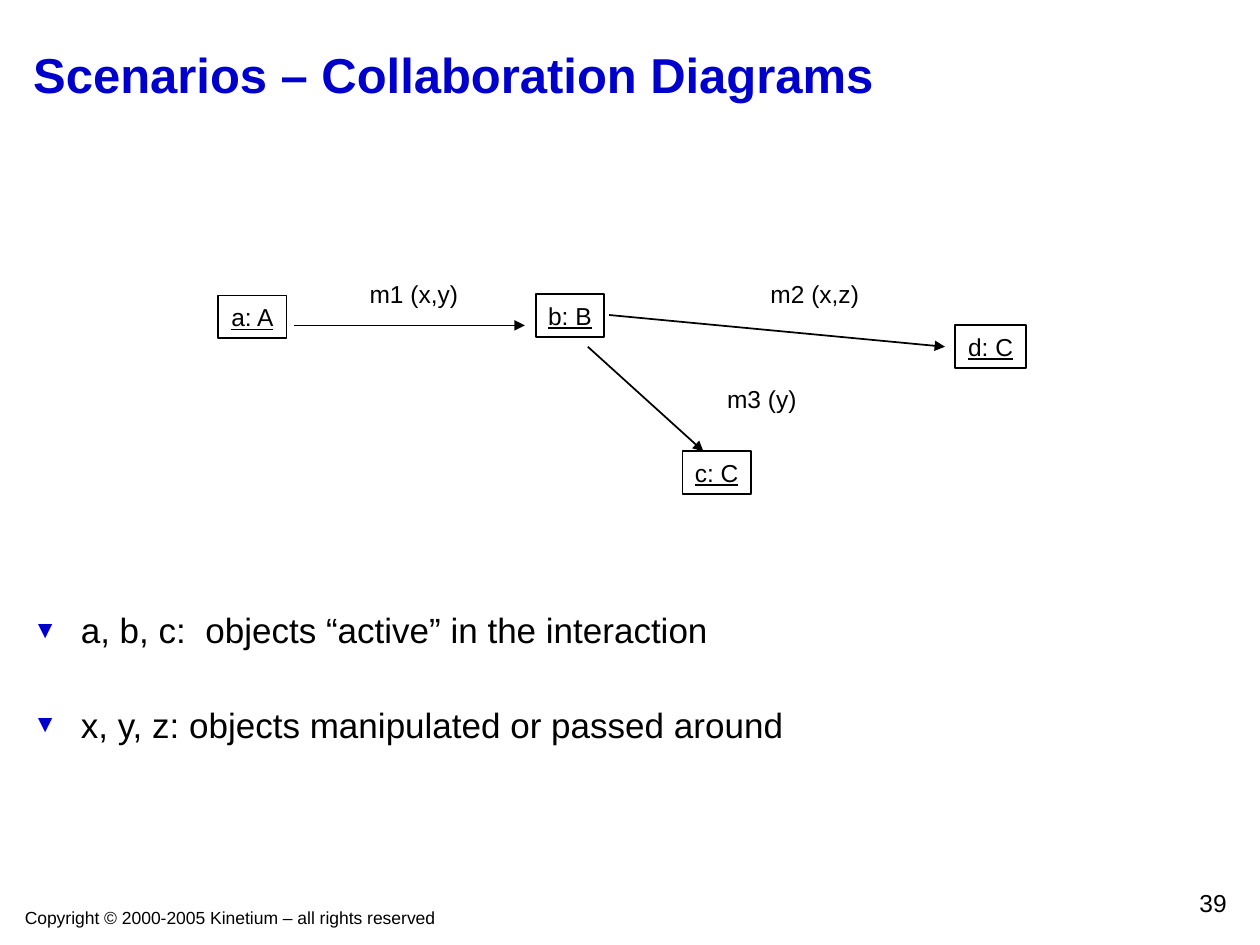
from lxml import etree
from pptx import Presentation
from pptx import util as u
from pptx.dml.color import RGBColor
from pptx.enum import shapes, text
from pptx.oxml.ns import qn

BLACK = "000000"
BLUE = "0000CC"


def color(value):
    return RGBColor.from_string(value)


class DiagramSlide:
    font_name = "Arial"
    label_size = 14
    line_width = 1

    def __init__(self, presentation):
        self.slide = presentation.slides.add_slide(presentation.slide_layouts[5])

    def frame(self, shape, wrap=True, anchor=text.MSO_ANCHOR.TOP):
        frame = shape.text_frame
        frame.word_wrap = wrap
        frame.auto_size = text.MSO_AUTO_SIZE.NONE
        frame.vertical_anchor = anchor
        frame.margin_left = frame.margin_right = u.Cm(0.25)
        frame.margin_top = frame.margin_bottom = u.Cm(0.13)
        return frame

    def add_text(self, paragraph, content, size, align=text.PP_ALIGN.LEFT,
                 fill=BLACK, bold=False, underline=False):
        paragraph.alignment = align
        run = paragraph.add_run()
        run.text = content
        run.font.name = self.font_name
        run.font.size = u.Pt(size)
        run.font.color.rgb = color(fill)
        run.font.bold = bold
        run.font.underline = underline

    def title(self, content, left, top, width, height):
        title = self.slide.shapes.title
        title.left, title.top = u.Cm(left), u.Cm(top)
        title.width, title.height = u.Cm(width), u.Cm(height)
        frame = self.frame(title, anchor=text.MSO_ANCHOR.MIDDLE)
        self.add_text(frame.paragraphs[0], content, 28, fill=BLUE, bold=True)

    def text_box(self, left, top, width, height):
        return self.slide.shapes.add_textbox(
            u.Cm(left), u.Cm(top), u.Cm(width), u.Cm(height))

    def label(self, content, left, top, width, height=0.86, size=label_size,
              align=text.PP_ALIGN.CENTER, wrap=False):
        frame = self.frame(self.text_box(left, top, width, height), wrap)
        self.add_text(frame.paragraphs[0], content, size, align)

    def object_box(self, content, left, top, width):
        shape = self.slide.shapes.add_shape(
            shapes.MSO_SHAPE.RECTANGLE,
            u.Cm(left), u.Cm(top), u.Cm(width), u.Cm(0.86))
        shape.shadow.inherit = False
        shape.fill.background()
        shape.line.color.rgb = color(BLACK)
        shape.line.width = u.Pt(self.line_width)
        frame = self.frame(shape, wrap=False)
        self.add_text(frame.paragraphs[0], content, self.label_size,
                      text.PP_ALIGN.CENTER, underline=True)

    def arrow(self, start, end):
        connector = self.slide.shapes.add_connector(
            shapes.MSO_CONNECTOR.STRAIGHT,
            *(u.Cm(value) for value in (*start, *end)))
        connector.line.color.rgb = color(BLACK)
        connector.line.width = u.Pt(self.line_width)
        properties = connector._element.spPr
        etree.SubElement(properties.find(qn("a:ln")), qn("a:tailEnd"),
                         type="triangle")
        etree.SubElement(properties, qn("a:effectLst"))

    def bullets(self, items, left, top, width, height):
        frame = self.frame(self.text_box(left, top, width, height))
        frame.margin_top = u.Cm(0.2)
        for index, item in enumerate(items):
            paragraph = frame.add_paragraph() if index else frame.paragraphs[0]
            properties = paragraph._p.get_or_add_pPr()
            properties.set("marL", str(u.Cm(0.96)))
            properties.set("indent", str(u.Cm(-0.96)))
            bullet_color = etree.SubElement(properties, qn("a:buClr"))
            etree.SubElement(bullet_color, qn("a:srgbClr"), val=BLUE)
            etree.SubElement(properties, qn("a:buSzPct"), val="70000")
            etree.SubElement(properties, qn("a:buFont"), typeface=self.font_name)
            etree.SubElement(properties, qn("a:buChar"), char="▼")
            if index:
                paragraph.space_before = u.Pt(30)
            self.add_text(paragraph, item, 20)


def main():
    presentation = Presentation()
    presentation.slide_width = u.Cm(25.4)
    presentation.slide_height = u.Cm(19.05)
    page = DiagramSlide(presentation)

    page.title("Scenarios – Collaboration Diagrams", 0.42, 0.42, 24.55, 2.12)
    page.bullets(["a, b, c:  objects “active” in the interaction",
                  "x, y, z: objects manipulated or passed around"],
                 0.42, 12.07, 24.55, 5.29)

    for name, left, top, width in [("a: A", 4.4, 5.96, 1.38),
                                   ("b: B", 10.8, 5.93, 1.38),
                                   ("c: C", 13.76, 9.1, 1.38),
                                   ("d: C", 19.26, 6.56, 1.42)]:
        page.object_box(name, left, top, width)

    for start, end in [((11.85, 6.99), (14.18, 9.1)),
                       ((12.28, 6.35), (19.05, 6.99)),
                       ((5.93, 6.56), (10.58, 6.56))]:
        page.arrow(start, end)

    for message, left, top, width in [("m1 (x,y)", 7.2, 5.5, 2.29),
                                      ("m2 (x,z)", 15.28, 5.5, 2.29),
                                      ("m3 (y)", 14.41, 7.62, 1.9)]:
        page.label(message, left, top, width)

    page.label("Copyright © 2000-2005 Kinetium – all rights reserved",
               0.25, 18.16, 13.2, 0.69, size=10,
               align=text.PP_ALIGN.LEFT, wrap=True)
    page.label("39", 19.69, 17.78, 5.29, align=text.PP_ALIGN.RIGHT, wrap=True)

    presentation.save("out.pptx")


if __name__ == "__main__":
    main()
